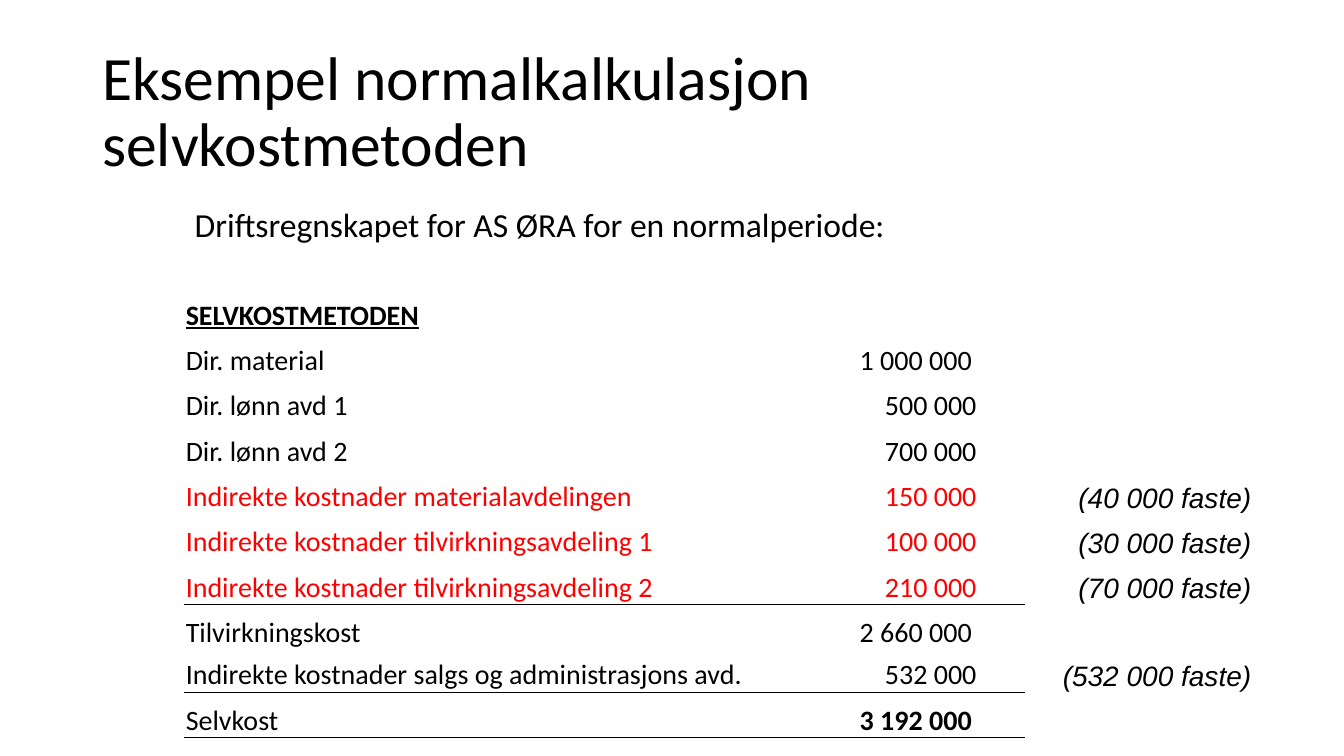
from lxml.etree import fromstring
from pptx import Presentation
from pptx.dml.color import RGBColor
from pptx.enum.text import MSO_ANCHOR, PP_ALIGN
from pptx.util import Pt

COLORS = {"text": "000000", "indirect": "FF0000", "rule": "000000"}
NS = "http://schemas.openxmlformats.org/drawingml/2006/main"

COLUMNS = (458.6, 141.8, 167.8)
ROW_HEIGHT, SALES_ROW_HEIGHT = 32.4, 30.2
MILLION_INDENT, THOUSAND_INDENT = 23.5, 41.5
HEADING, SALES, TOTAL = 0, 8, 9
INDIRECT = (4, 5, 6)
RULED = (6, 8, 9)

ROWS = (
    ("SELVKOSTMETODEN", "", ""),
    ("Dir. material", "1 000 000", ""),
    ("Dir. lønn avd 1", "500 000", ""),
    ("Dir. lønn avd 2", "700 000", ""),
    ("Indirekte kostnader materialavdelingen", "150 000", "(40 000 faste)"),
    ("Indirekte kostnader tilvirkningsavdeling 1", "100 000", "(30 000 faste)"),
    ("Indirekte kostnader tilvirkningsavdeling 2", "210 000", "(70 000 faste)"),
    ("Tilvirkningskost", "2 660 000", ""),
    ("Indirekte kostnader salgs og administrasjons avd.", "532 000", "(532 000 faste)"),
    ("Selvkost", "3 192 000", ""),
)


def set_attrs(obj, values):
    for name, value in values.items():
        setattr(obj, name, value)


def write(tf, text, size, color="text", font="Calibri", para=None, **style):
    p = tf.paragraphs[0]
    set_attrs(p, para or {})
    r = p.add_run()
    r.text = text
    set_attrs(r.font, {"name": font, "size": Pt(size), **style})
    r.font.color.rgb = RGBColor.from_string(COLORS[color])


def add_text(s, box, text, size, anchor, **para):
    tf = s.shapes.add_textbox(*map(Pt, box)).text_frame
    set_attrs(tf, {"word_wrap": True, "vertical_anchor": anchor})
    write(tf, text, size, para={"line_spacing": 0.9, **para})


def add_rule(cell, side):
    line = fromstring(
        f'<a:{side} xmlns:a="{NS}" w="{Pt(0.5)}"><a:solidFill>'
        f'<a:srgbClr val="{COLORS["rule"]}"/></a:solidFill></a:{side}>'
    )
    cell._tc.get_or_add_tcPr().insert(0, line)


def format_cell(cell, row, col):
    left, right = 0.7, 0.7
    if col == 1:
        left = MILLION_INDENT if len(ROWS[row][1]) > 7 else THOUSAND_INDENT
    if col == 2:
        right = 6.3
    set_attrs(cell, {
        "margin_left": Pt(left),
        "margin_right": Pt(right),
        "margin_top": Pt(0.7),
        "margin_bottom": Pt(0),
        "vertical_anchor": MSO_ANCHOR.BOTTOM,
    })
    cell.fill.background()
    if col < 2 and row in RULED:
        add_rule(cell, "lnB")
    if col < 2 and row - 1 in RULED:
        add_rule(cell, "lnT")


def add_cost_table(s, box):
    table = s.shapes.add_table(len(ROWS), len(COLUMNS), *map(Pt, box)).table
    set_attrs(table, {"first_row": False, "horz_banding": False})
    for column, width in zip(table.columns, COLUMNS):
        column.width = Pt(width)
    for i, texts in enumerate(ROWS):
        table.rows[i].height = Pt(SALES_ROW_HEIGHT if i == SALES else ROW_HEIGHT)
        for j, text in enumerate(texts):
            cell = table.cell(i, j)
            format_cell(cell, i, j)
            if not text:
                continue
            if j == 2:
                write(cell.text_frame, text, 20, font="Arial", italic=True,
                      para={"alignment": PP_ALIGN.RIGHT})
            else:
                write(cell.text_frame, text, 20,
                      "indirect" if i in INDIRECT else "text",
                      bold=i == HEADING or (i == TOTAL and j == 1),
                      underline=i == HEADING)


def main():
    prs = Presentation()
    set_attrs(prs, {"slide_width": Pt(960), "slide_height": Pt(540)})
    s = prs.slides.add_slide(prs.slide_layouts[6])
    add_text(s, (66, 28.8, 828, 104.4),
             "Eksempel normalkalkulasjon selvkostmetoden", 44, MSO_ANCHOR.MIDDLE)
    add_text(s, (132, 145.4, 648, 356.4),
             "Driftsregnskapet for AS ØRA for en normalperiode:", 24,
             MSO_ANCHOR.TOP, space_before=Pt(10))
    add_cost_table(s, (132, 205.2, sum(COLUMNS),
                       ROW_HEIGHT * (len(ROWS) - 1) + SALES_ROW_HEIGHT))
    prs.save("out.pptx")


if __name__ == "__main__":
    main()
